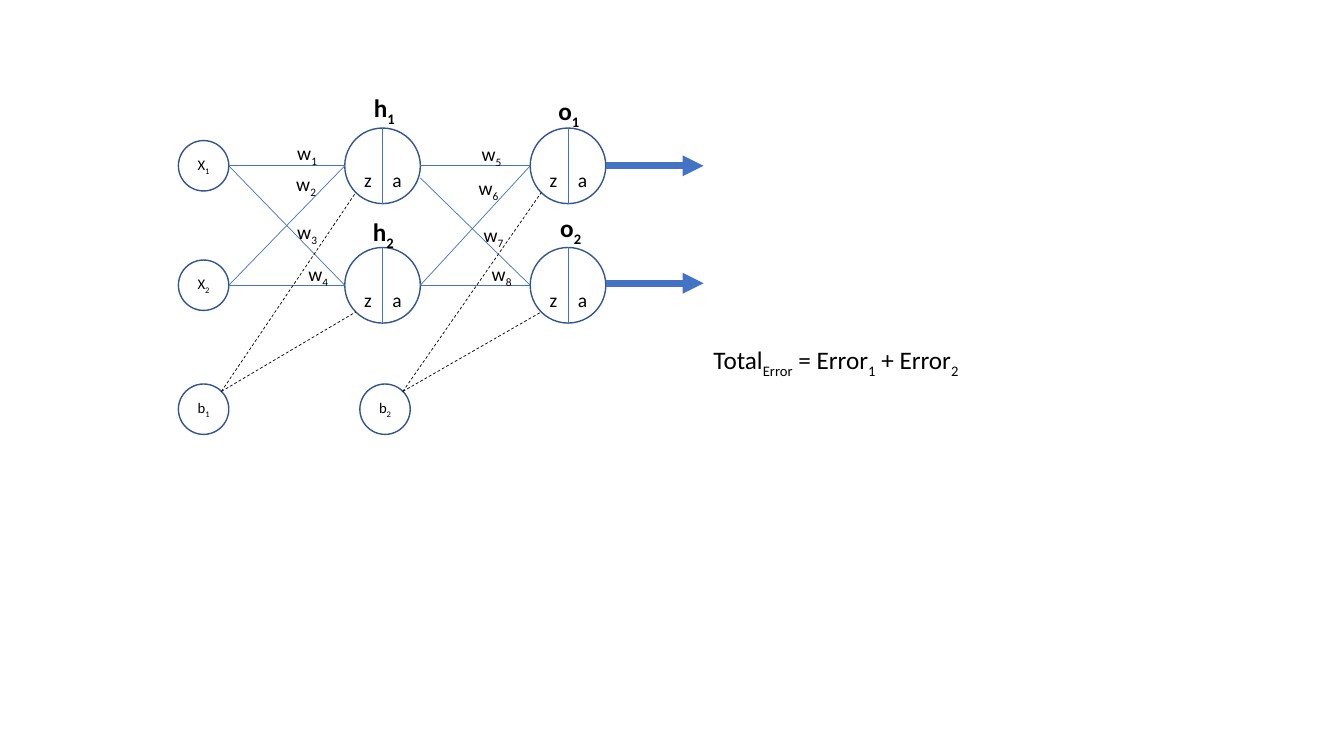
from itertools import product
from math import sqrt

from lxml import etree
from pptx import Presentation
from pptx.dml.color import RGBColor
from pptx.enum.dml import MSO_LINE
from pptx.enum.shapes import MSO_CONNECTOR, MSO_SHAPE
from pptx.enum.text import MSO_ANCHOR, PP_ALIGN
from pptx.oxml.ns import qn
from pptx.util import Inches, Pt

STRAIGHT = MSO_CONNECTOR.STRAIGHT
CIRCLE = MSO_SHAPE.FLOWCHART_CONNECTOR
CENTER = PP_ALIGN.CENTER
MIDDLE = MSO_ANCHOR.MIDDLE
DASH = MSO_LINE.DASH

BLUE = RGBColor(0x44, 0x72, 0xC4)
OUTLINE = RGBColor(0x32, 0x54, 0x91)
BLACK = RGBColor(0, 0, 0)

# The grid has square cells, ten to the inch.
CELL = Inches(0.1)
SLIDE_COLS, SLIDE_ROWS = 133.33, 75

NODE_TEXT = {"size": Pt(10.5)}
HALF_TEXT = {"size": Pt(24)}
WEIGHT_TEXT = {"size": Pt(14)}
NAME_TEXT = {"size": Pt(18), "bold": True}
FORMULA_TEXT = {"size": Pt(18)}

THIN = {"width": Pt(0.5)}
DASHED = {"width": Pt(0.5), "dash_style": DASH}
THICK = {"width": Pt(5)}


def cells(*counts):
    return [round(count * CELL) for count in counts]


def apply_format(target, values):
    for name, value in values.items():
        setattr(target, name, value)


class NetworkSlide:
    """Draws network parts on one slide, with every length in grid cells."""

    font_name = "Calibri"

    def __init__(self, slide):
        self.shapes = slide.shapes

    def add_text(self, frame, parts, style):
        """Fill a frame with parts that alternate between plain text and subscript."""
        paragraph = frame.paragraphs[0]
        for index, part in enumerate(parts):
            if not part:
                continue
            run = paragraph.add_run()
            run.text = part
            apply_format(run.font, {"name": self.font_name, **style})
            run.font.color.rgb = BLACK
            if index % 2:
                run._r.get_or_add_rPr().set("baseline", "-25000")
        return paragraph

    def label(self, box, parts, style, shapes=None):
        frame = (shapes or self.shapes).add_textbox(*cells(*box)).text_frame
        frame.word_wrap = True
        self.add_text(frame, parts, style)

    def line(self, start, end, style=THIN, color=BLUE, arrow=False, shapes=None):
        link = (shapes or self.shapes).add_connector(STRAIGHT, *cells(*start, *end))
        link.line.color.rgb = color
        apply_format(link.line, style)
        properties = link._element.spPr
        if arrow:
            etree.SubElement(properties.find(qn("a:ln")), qn("a:tailEnd"), type="triangle")
        etree.SubElement(properties, qn("a:effectLst"))

    def circle(self, center, radius, shapes=None):
        col, row = center
        ring = (shapes or self.shapes).add_shape(
            CIRCLE, *cells(col - radius, row - radius, 2 * radius, 2 * radius))
        ring.shadow.inherit = False
        ring.fill.background()
        ring.line.color.rgb = OUTLINE
        ring.line.width = Pt(1)
        return ring

    def node(self, center, radius, parts):
        frame = self.circle(center, radius).text_frame
        frame.vertical_anchor = MIDDLE
        self.add_text(frame, parts, NODE_TEXT).alignment = CENTER

    def neuron(self, center, radius):
        """Draw a circle split into its input z and its activation a."""
        col, row = center
        group = self.shapes.add_group_shape().shapes
        self.circle(center, radius, group)
        self.line((col, row - radius), (col, row + radius), shapes=group)
        for letter, left in (("z", col - 2.8), ("a", col)):
            self.label((left, row - 2.5, 2.8, 3.7), ("", letter), HALF_TEXT, group)


def main():
    deck = Presentation()
    deck.slide_width, deck.slide_height = cells(SLIDE_COLS, SLIDE_ROWS)
    network = NetworkSlide(deck.slides.add_slide(deck.slide_layouts[6]))

    node_radius, neuron_radius = 2.5, 3.75
    input_col, hidden_col, output_col = 20.2, 37.95, 56.35
    rows = upper, lower = 16.45, 28.3
    bias_row = 40.6

    for number, row in enumerate(rows, 1):
        network.node((input_col, row), node_radius, ("X", str(number)))
    for center in product((hidden_col, output_col), rows):
        network.neuron(center, neuron_radius)

    hidden_left, hidden_right = hidden_col - neuron_radius, hidden_col + neuron_radius
    output_left, output_right = output_col - neuron_radius, output_col + neuron_radius
    for start, end in product(rows, rows):
        network.line((input_col + node_radius, start), (hidden_left, end))
        lowered = 1.2 if start < end else 0
        network.line((hidden_right, start + lowered), (output_left, end))

    # Bias links meet both circles on their diagonals.
    node_reach, neuron_reach = node_radius / sqrt(2), neuron_radius / sqrt(2)
    biases = ((input_col, hidden_col), (38.2, output_col))
    for number, (bias_col, layer_col) in enumerate(biases, 1):
        network.node((bias_col, bias_row), node_radius, ("b", str(number)))
        for row in rows:
            network.line((bias_col + node_reach, bias_row - node_reach),
                         (layer_col - neuron_reach, row + neuron_reach), DASHED, BLACK)

    for row in (upper, lower - 0.2):
        network.line((output_right, row), (69.8, row), THICK, arrow=True)

    neuron_names = (("h", "1", 36.1, 8.7), ("h", "2", 36, 21),
                    ("o", "1", 54.4, 9), ("o", "2", 54.6, 20.6))
    for letter, number, left, top in neuron_names:
        network.label((left, top, 5.3, 4), (letter, number), NAME_TEXT)

    weight_corners = ((28.5, 13.5), (28.4, 16.6), (28.5, 21.3), (29.6, 25.5),
                      (46.8, 13.6), (46.5, 17), (47, 21.6), (47.8, 25.5))
    for number, corner in enumerate(weight_corners, 1):
        network.label((*corner, 5.5, 3.4), ("w", str(number)), WEIGHT_TEXT)

    total_error = ("Total", "Error", " = Error", "1", " + Error", "2")
    network.label((69.8, 33.7, 32.7, 4), total_error, FORMULA_TEXT)

    deck.save("out.pptx")


if __name__ == "__main__":
    main()
